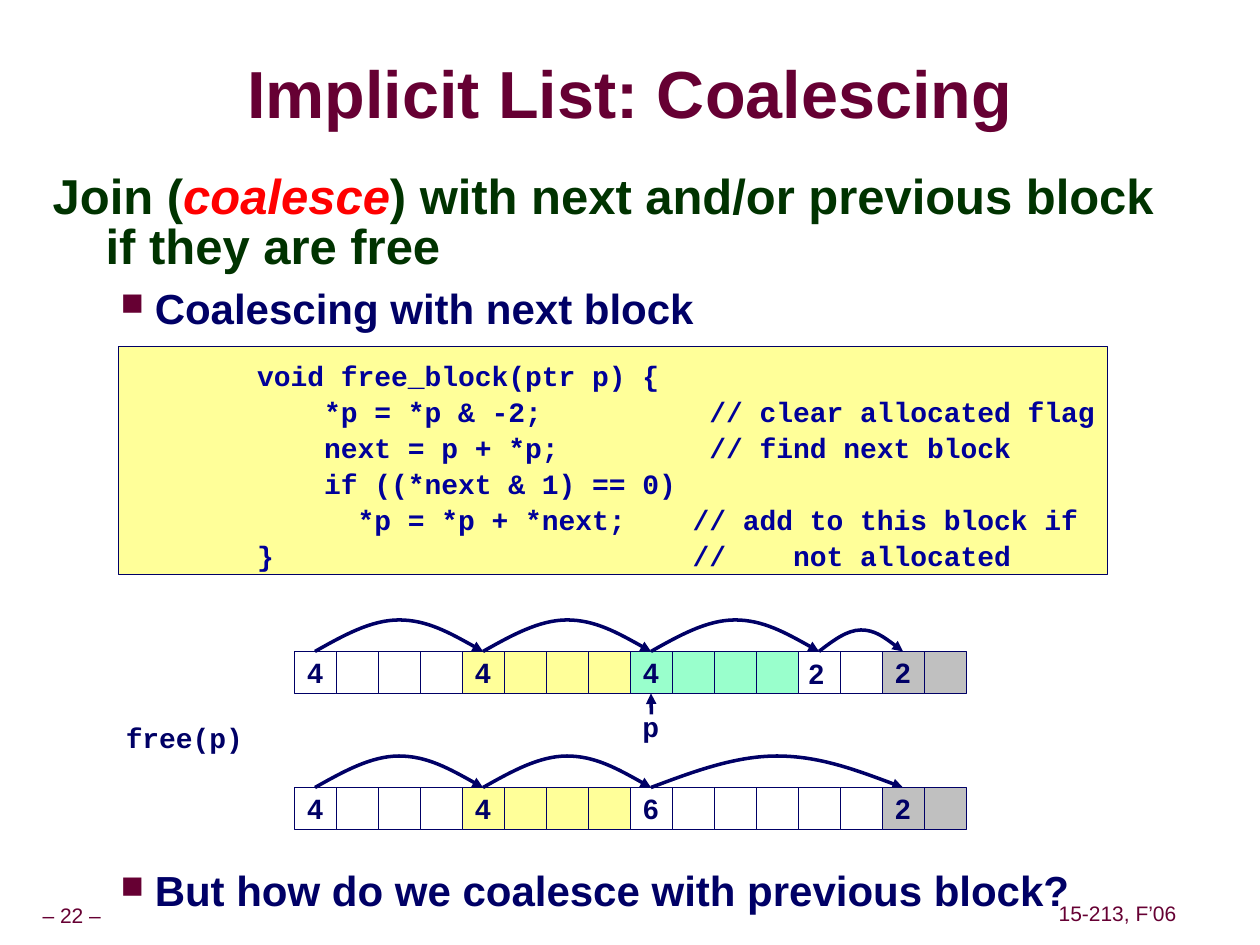
from lxml import etree
from pptx import Presentation
from pptx.dml.color import RGBColor
from pptx.enum.shapes import MSO_CONNECTOR, MSO_SHAPE
from pptx.enum.text import MSO_ANCHOR, PP_ALIGN
from pptx.oxml import parse_xml
from pptx.oxml.ns import qn
from pptx.util import Inches, Pt

CENTER, LEFT = PP_ALIGN.CENTER, PP_ALIGN.LEFT
MIDDLE, TOP = MSO_ANCHOR.MIDDLE, MSO_ANCHOR.TOP
RECT, STRAIGHT = MSO_SHAPE.RECTANGLE, MSO_CONNECTOR.STRAIGHT
NAVY, MAROON, GREEN, RED = "000066", "660033", "003300", "FF0000"
WHITE, YELLOW, MINT, GRAY = "FFFFFF", "FFFF99", "99FFCC", "C0C0C0"
CODE_BLUE, MONO = "000099", "Courier New"
DRAWING_NS = 'xmlns:a="http://schemas.openxmlformats.org/drawingml/2006/main"'


def rgb(value):
    return RGBColor.from_string(value)


def add_run(p, text, color, **formats):
    r = p.add_run()
    r.text = text
    r.font.color.rgb = rgb(color)
    for name, value in ({"name": "Arial", "size": Pt(16), "bold": True} | formats).items():
        setattr(r.font, name, value)
    return r


prs = Presentation()
prs.slide_width, prs.slide_height = Inches(10), Inches(7.5)
s = prs.slides.add_slide(prs.slide_layouts[5])
shapes = s.shapes

title = shapes.title
title.left, title.top, title.width, title.height = [Inches(v) for v in (1.3, 0.46, 7.4, 0.63)]
tf = title.text_frame
for side in ("left", "top", "right", "bottom"):
    setattr(tf, "margin_" + side, 0)
tf.vertical_anchor = MIDDLE
p = tf.paragraphs[0]
p.alignment, p.line_spacing = CENTER, 0.87
r = add_run(p, "Implicit List: Coalescing", MAROON, size=Pt(38))
r.font.fill._xPr.find(qn("a:solidFill")).addnext(parse_xml(
    f'<a:effectLst {DRAWING_NS}><a:outerShdw dist="38100" dir="2700000">'
    '<a:srgbClr val="C0C0C0"/></a:outerShdw></a:effectLst>'))

body_paragraphs = [
    (1.34, 1.4, [
        (0.42, -0.42, 0.85, False, 28,
         [("Join (", GREEN, False), ("coalesce", RED, True),
          (") with next and/or previous block if they are free", GREEN, False)]),
        (0.81, -0.27, 0.9, True, 24, [("Coalescing with next block", NAVY, False)])]),
    (6.86, 0.48, [
        (0.81, -0.27, 0.9, True, 24,
         [("But how do we coalesce with previous block?", NAVY, False)])]),
]
for top, height, paragraphs in body_paragraphs:
    tf = shapes.add_textbox(Inches(0.32), Inches(top), Inches(9.09), Inches(height)).text_frame
    tf.word_wrap = True
    for i, (margin, indent, spacing, bullet, size, runs) in enumerate(paragraphs):
        p = tf.add_paragraph() if i else tf.paragraphs[0]
        p.line_spacing = spacing
        if i:
            p.space_before = Pt(7.5)
        pPr = p._p.get_or_add_pPr()
        pPr.set("marL", str(Inches(margin)))
        pPr.set("indent", str(Inches(indent)))
        if bullet:
            color = etree.SubElement(pPr, qn("a:buClr"))
            etree.SubElement(color, qn("a:srgbClr"), val=MAROON)
            etree.SubElement(pPr, qn("a:buSzPct"), val="75000")
            etree.SubElement(pPr, qn("a:buChar"), char="■")
        for text, run_color, italic in runs:
            add_run(p, text, run_color, size=Pt(size), italic=italic)

CELL, GRID_LEFT = 1 / 3, 7 / 3
block_rows = [
    (5.17, [(4, WHITE, "4"), (4, YELLOW, "4"), (4, MINT, "4"), (2, WHITE, ""), (2, GRAY, "2")]),
    (6.25, [(4, WHITE, "4"), (4, YELLOW, "4"), (6, WHITE, "6"), (2, GRAY, "2")]),
]
arc_points = [(1 / 6, 0.5), (1 / 3, 1), (1 / 2, 1), (2 / 3, 1), (5 / 6, 0.5), (1, 0)]
cells = {}
for top, blocks in block_rows:
    column = 0
    for number, (count, fill, label) in enumerate(blocks):
        for k in range(count):
            cell = shapes.add_shape(RECT, Inches(GRID_LEFT + (column + k) * CELL), Inches(top),
                                    Inches(CELL), Inches(CELL))
            cell.shadow.inherit = False
            cell.fill.solid()
            cell.fill.fore_color.rgb = rgb(fill)
            cell.line.color.rgb = rgb(NAVY)
            cell.line.width = Pt(0.25)
            cells[top, column + k] = cell
            if k == 0 and label:
                tf = cell.text_frame
                tf.word_wrap = False
                tf.vertical_anchor = MIDDLE
                p = tf.paragraphs[0]
                p.alignment = CENTER
                add_run(p, label, NAVY)
        if number < len(blocks) - 1:
            start, width = GRID_LEFT + (column + 0.5) * CELL, count * CELL
            height = 0.25 if count > 2 else 0.17
            builder = shapes.build_freeform(Inches(start), Inches(top))
            builder.add_line_segments(
                [(Inches(start + x * width), Inches(top - y * height)) for x, y in arc_points],
                close=False)
            arc = builder.convert_to_shape()
            arc.shadow.inherit = False
            arc.fill.background()
            arc.line.color.rgb = rgb(NAVY)
            arc.line.width = Pt(2)
            etree.SubElement(arc.line._get_or_add_ln(), qn("a:tailEnd"), type="triangle")
            outline = next(arc._element.iter(qn("a:path")))
            segments = outline.findall(qn("a:lnTo"))
            for first in (0, 3):
                curve = etree.SubElement(outline, qn("a:cubicBezTo"))
                for segment in segments[first:first + 3]:
                    curve.append(segment[0])
                    outline.remove(segment)
        column += count

pointer = shapes.add_connector(STRAIGHT, Inches(5.17), Inches(5.67), Inches(5.17), Inches(5.5))
pointer.end_connect(cells[5.17, 8], 2)
pointer.line.color.rgb = rgb(NAVY)
pointer.line.width = Pt(2)
etree.SubElement(pointer.line._get_or_add_ln(), qn("a:tailEnd"), type="triangle")
etree.SubElement(pointer._element.spPr, qn("a:effectLst"))

bold_mono = {"name": MONO}
footer = {"size": Pt(12), "bold": False}
labels = [
    ("2", 6.32, 5.16, 0.32, 0.37, LEFT, TOP, NAVY, {}),
    ("free(p)", 0.9, 5.67, 1.13, 0.37, LEFT, TOP, NAVY, bold_mono),
    ("p", 5, 5.58, 0.33, 0.37, LEFT, TOP, NAVY, bold_mono),
    ("– 22 –", 0, 7.12, 1.14, 0.28, CENTER, MIDDLE, MAROON, footer),
    ("15-213, F’06", 8.35, 7.11, 1.04, 0.28, CENTER, MIDDLE, MAROON, footer),
]
for text, left, top, width, height, align, anchor, color, formats in labels:
    tf = shapes.add_textbox(Inches(left), Inches(top), Inches(width), Inches(height)).text_frame
    tf.word_wrap = False
    tf.vertical_anchor = anchor
    if formats is footer:
        tf.margin_left = tf.margin_right = Inches(0.05)
    p = tf.paragraphs[0]
    p.alignment = align
    add_run(p, text, color, **formats)

code = """void free_block(ptr p) {
    *p = *p & -2;          // clear allocated flag
    next = p + *p;         // find next block
    if ((*next & 1) == 0)
      *p = *p + *next;    // add to this block if
}                         //    not allocated"""
box = shapes.add_shape(RECT, Inches(0.94), Inches(2.75), Inches(7.85), Inches(1.81))
box.shadow.inherit = False
box.fill.solid()
box.fill.fore_color.rgb = rgb(YELLOW)
box.line.color.rgb = rgb(NAVY)
box.line.width = Pt(1)
tf = box.text_frame
tf.word_wrap = True
tf.vertical_anchor = TOP
tf.margin_left, tf.margin_right, tf.margin_top = Inches(1.1), Inches(0.05), Inches(0.08)
for i, line in enumerate(code.split("\n")):
    p = tf.add_paragraph() if i else tf.paragraphs[0]
    p.alignment, p.line_spacing = LEFT, Pt(20.5)
    add_run(p, line, CODE_BLUE, name=MONO)

prs.save("out.pptx")
